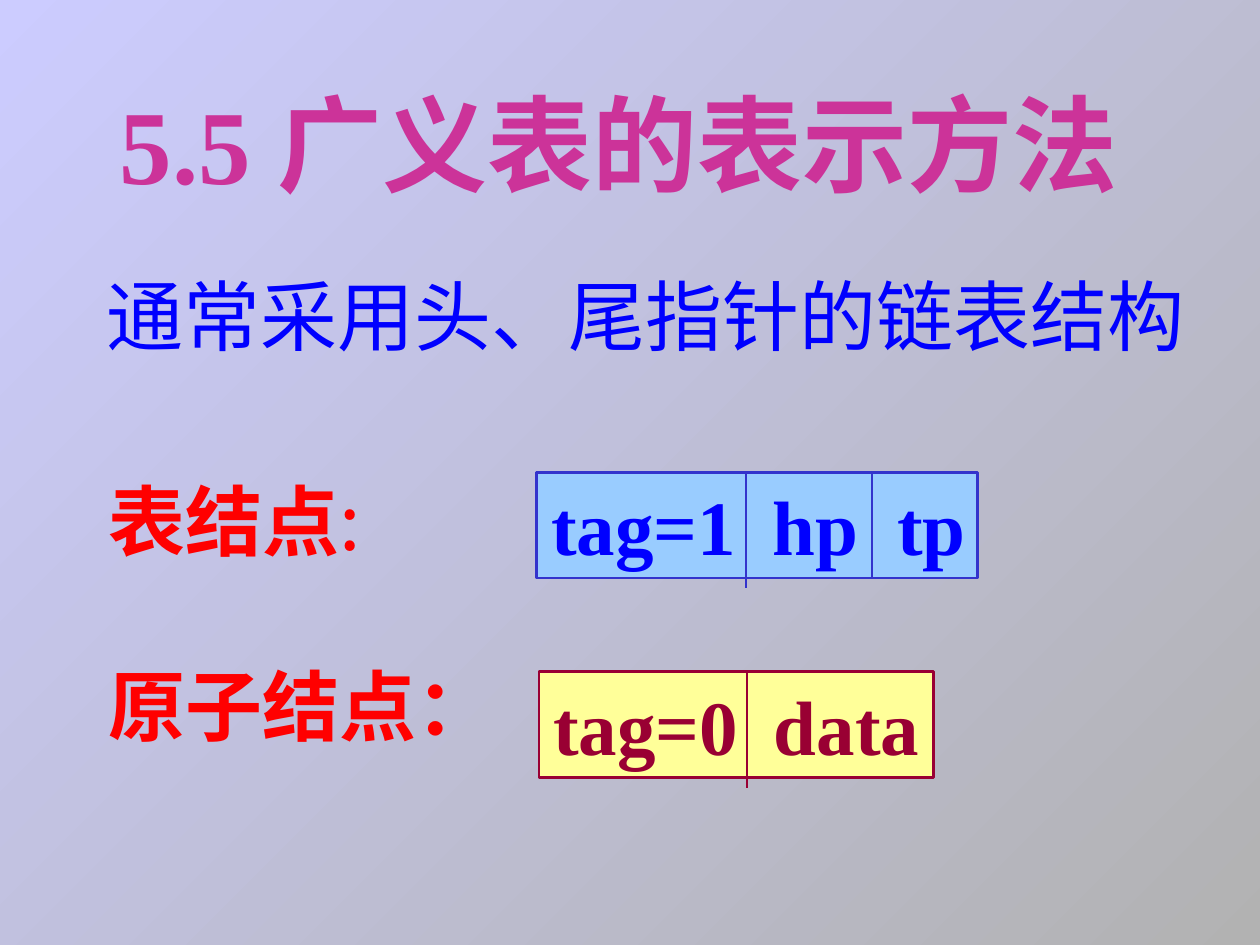
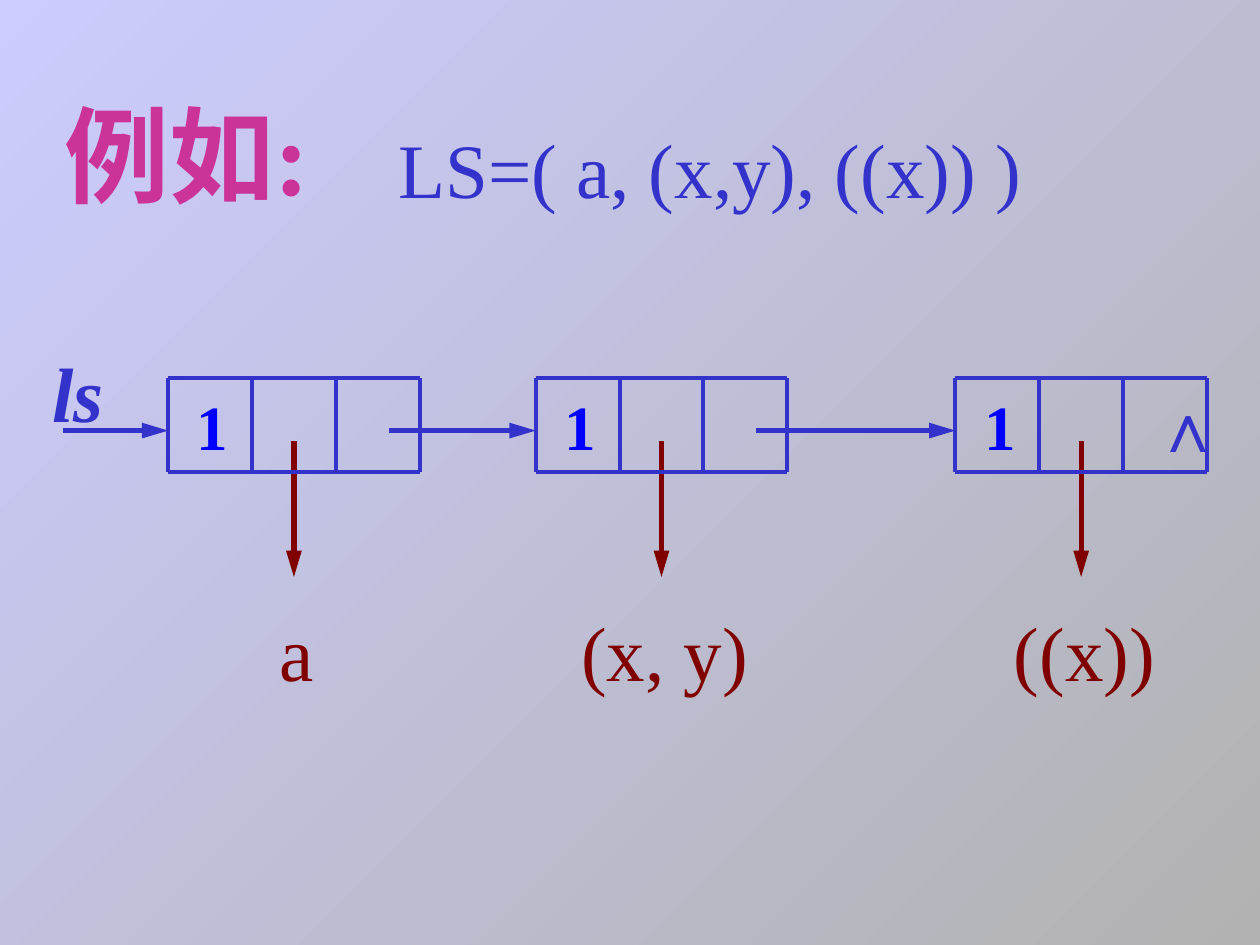
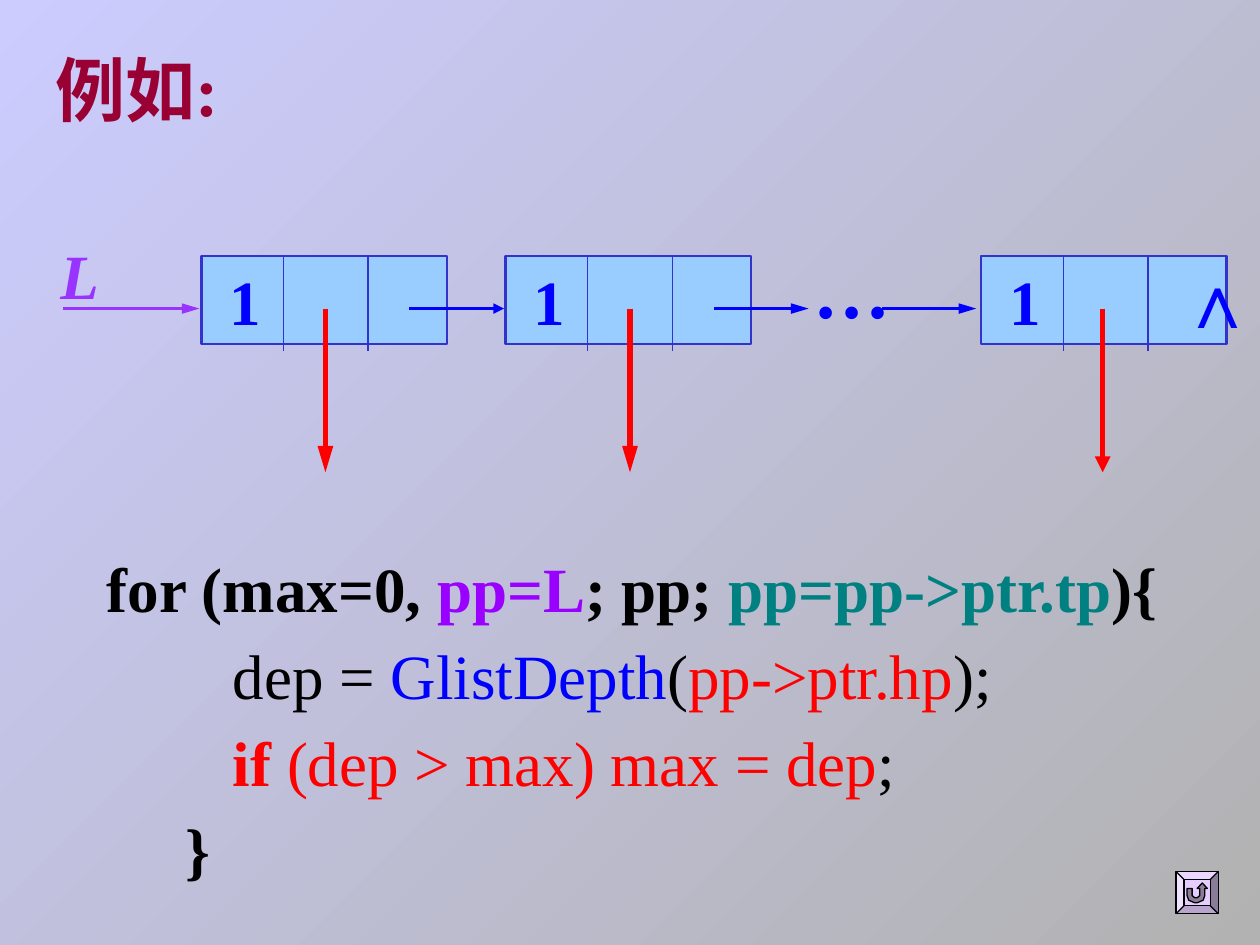
from dataclasses import dataclass

from lxml import etree
from pptx import Presentation
from pptx import util as u
from pptx.dml.color import RGBColor
from pptx.enum import shapes, text
from pptx.oxml import ns


@dataclass(frozen=True)
class Theme:
    """Colours, fonts and type sizes shared by all slides."""
    grey: str = "B2B2B2"
    lavender: str = "CCCCFF"
    magenta: str = "CC3399"
    wine: str = "990033"
    maroon: str = "800000"
    blue: str = "0000FF"
    indigo: str = "3333CC"
    sky: str = "99CCFF"
    yellow: str = "FFFF99"
    red: str = "FF0000"
    purple: str = "9933FF"
    violet: str = "9900FF"
    teal: str = "008080"
    black: str = "000000"
    lilac: str = "E6CDFF"
    plum: str = "8A7B99"
    serif: str = "Times New Roman"
    sans: str = "Arial"
    chinese: str = "Noto Sans CJK SC"
    heading: int = 60
    large: int = 44
    medium: int = 40
    code: int = 36


THEME = Theme()


@dataclass(frozen=True)
class Type:
    """One type style."""
    size: int
    color: str
    bold: bool = False
    italic: bool = False
    face: str = THEME.serif


@dataclass(frozen=True)
class NodeStyle:
    """Look of a list node: outline, divider weight, fill and lettering."""
    line: str
    width: float
    divider: float
    lettering: Type
    fill: str = None


def cm(*values):
    """Turn centimetres into lengths."""
    return [u.Cm(value) for value in values]


def style_font(font, style, color=None, bold=None):
    """Apply a type style, with optional changes, to a font."""
    font.size = u.Pt(style.size)
    font.bold = style.bold if bold is None else bold
    font.italic = style.italic
    font.color.rgb = RGBColor.from_string(color or style.color)
    font.name = style.face


def write(paragraph, runs, style):
    """Write (text, colour, bold) runs into a paragraph of one base style."""
    properties = paragraph._p.get_or_add_pPr()
    properties.set("marL", "0")
    properties.set("indent", "0")
    etree.SubElement(properties, ns.qn("a:buNone"))
    paragraph.space_before = u.Pt(0)
    style_font(paragraph.font, style)
    for words, color, bold in runs:
        run = paragraph.add_run()
        run.text = words
        style_font(run.font, style, color, bold)
        east_asian = etree.SubElement(run._r.get_or_add_rPr(), ns.qn("a:ea"))
        east_asian.set("typeface", THEME.chinese)


def fill_text(shape, box, lines, style, centred=False):
    """Place a text shape and write its lines; return the paragraphs."""
    shape.left, shape.top, shape.width, shape.height = cm(*box)
    frame = shape.text_frame
    frame.word_wrap = centred
    frame.auto_size = (text.MSO_AUTO_SIZE.NONE if centred
                       else text.MSO_AUTO_SIZE.SHAPE_TO_FIT_TEXT)
    frame.vertical_anchor = (text.MSO_ANCHOR.MIDDLE if centred
                             else text.MSO_ANCHOR.TOP)
    if centred:
        frame.margin_left = frame.margin_right = 0
    for index, runs in enumerate(lines):
        paragraph = frame.add_paragraph() if index else frame.paragraphs[0]
        write(paragraph, runs, style)
        paragraph.alignment = (text.PP_ALIGN.CENTER if centred
                               else text.PP_ALIGN.LEFT)
    return frame.paragraphs


def add_label(slide, box, words, style, centred=False):
    """Add one line of text in a text box."""
    label = slide.shapes.add_textbox(*cm(*box))
    fill_text(label, box, [[(words, None, None)]], style, centred)


def add_title(slide, box, words, style):
    """Fill the title placeholder."""
    fill_text(slide.shapes.title, box, [[(words, None, None)]], style)


def add_line(slide, start, end, color, width, head=None):
    """Draw a straight line, with an arrowhead of length "med" or "lg"."""
    line = slide.shapes.add_connector(
        shapes.MSO_CONNECTOR.STRAIGHT, *cm(*start, *end))
    line.line.color.rgb = RGBColor.from_string(color)
    line.line.width = u.Pt(width)
    if head:
        tail_end = etree.SubElement(line.line._get_or_add_ln(),
                                    ns.qn("a:tailEnd"))
        tail_end.set("type", "triangle")
        tail_end.set("len", head)
    etree.SubElement(line._element.spPr, ns.qn("a:effectLst"))


def paint(shape, fill, color, width):
    """Give a shape a flat fill and an outline."""
    shape.shadow.inherit = False
    shape.fill.solid()
    shape.fill.fore_color.rgb = RGBColor.from_string(fill)
    shape.line.color.rgb = RGBColor.from_string(color)
    shape.line.width = u.Pt(width)


def add_node(slide, box, fields, style, overhangs):
    """Draw a node of (text, width) fields; dividers may pass its bottom."""
    left, top, width, height = box
    right, bottom = left + width, top + height
    if style.fill:
        body = slide.shapes.add_shape(shapes.MSO_SHAPE.RECTANGLE, *cm(*box))
        paint(body, style.fill, style.line, style.width)
    else:
        for y in (top, bottom):
            add_line(slide, (left, y), (right, y), style.line, style.width)
        for x in (left, right):
            add_line(slide, (x, top), (x, bottom), style.line, style.width)
    x = left
    for index, (words, field_width) in enumerate(fields):
        if index:
            add_line(slide, (x, top), (x, bottom + overhangs[index - 1]),
                     style.line, style.divider)
        if words:
            shift = 0.13 if index else 0.05
            add_label(slide, (x + shift, top, field_width, height), words,
                      style.lettering, centred=True)
        x += field_width


def add_chain(slide, box, lefts, widths, style, overhang):
    """Draw tag-1 nodes in a row at the given left edges."""
    top, height = box
    for left in lefts:
        add_node(slide, (left, top, sum(widths), height),
                 list(zip(("1", "", ""), widths)), style,
                 (overhang, overhang))


def add_pointers(slide, top, bottom, pointers, color):
    """Draw downward arrows at (x, head) places."""
    for x, head in pointers:
        add_line(slide, (x, top), (x, bottom), color, 3, head)


def add_links(slide, y, links, color, width):
    """Draw horizontal arrows over (start, end, head) spans."""
    for start, end, head in links:
        add_line(slide, (start, y), (end, y), color, width, head)


def node_types_slide(presentation):
    """Introduce the two kinds of node."""
    slide = presentation.slides.add_slide(presentation.slide_layouts[1])
    add_title(slide, (2.16, 1.47, 21.64, 2.79), "5.5 广义表的表示方法",
              Type(THEME.heading, THEME.magenta, True))
    add_label(slide, (1.9, 5.28, 22.25, 2.13), "通常采用头、尾指针的链表结构",
              Type(THEME.large, THEME.blue, face=THEME.chinese))
    names = [[("表结点", None, None), (":", None, False)],
             [("原子结点：", None, None)]]
    paragraphs = fill_text(
        slide.placeholders[1], (1.93, 9.42, 8.28, 5.84), names,
        Type(THEME.large, THEME.red, True, face=THEME.chinese))
    for paragraph in paragraphs:
        paragraph.line_spacing = u.Pt(52.8)
    paragraphs[1].space_before = u.Pt(52.8)

    atom = NodeStyle(THEME.wine, 1.5, 0.74,
                     Type(THEME.large, THEME.wine, True), THEME.yellow)
    add_node(slide, (10.87, 13.54, 7.95, 2.13),
             [("tag=0", 4.19), ("data", 3.76)], atom, (0.21,))
    sublist = NodeStyle(THEME.indigo, 1.5, 0.74,
                        Type(THEME.large, THEME.blue, True), THEME.sky)
    add_node(slide, (10.82, 9.52, 8.89, 2.13),
             [("tag=1", 4.22), ("hp", 2.54), ("tp", 2.13)],
             sublist, (0.21, 0))


def example_slide(presentation):
    """Show the chain of nodes of a sample list."""
    slide = presentation.slides.add_slide(presentation.slide_layouts[5])
    add_title(slide, (1.04, 1.7, 5.94, 2.79), "例如:",
              Type(THEME.heading, THEME.magenta, True))
    add_label(slide, (7.78, 2.33, 13.08, 2.13), "LS=( a, (x,y), ((x)) )",
              Type(THEME.large, THEME.indigo))

    lefts, cell = (3.39, 10.8, 19.26), 1.69
    style = NodeStyle(THEME.indigo, 2.24, 2.24,
                      Type(THEME.code, THEME.blue, True))
    add_pointers(slide, 8.89, 11.63,
                 [(left + 1.5 * cell, "lg") for left in lefts], THEME.maroon)
    add_chain(slide, (7.62, 1.9), lefts, (cell,) * 3, style, 0)
    starts = (1.27, *(left + 4.45 for left in lefts[:-1]))
    add_links(slide, 8.68, [(start, end, "lg")
                            for start, end in zip(starts, lefts)],
              THEME.indigo, 3)
    for left, words in zip(lefts, ("a", "(x, y)", "((x))")):
        add_label(slide, (left + 0.6, 12.06, 4, 2.13), words,
                  Type(THEME.large, THEME.maroon), centred=True)
    add_label(slide, (23.01, 7.59, 0.97, 1.96), "∧",
              Type(THEME.medium, THEME.indigo, face=THEME.sans))
    add_label(slide, (0.81, 6.85, 1.55, 2.13), "ls",
              Type(THEME.large, THEME.indigo, True, True))


def add_code(slide, box):
    """Write the depth loop in the body placeholder."""
    lines = [
        [("for (max=0, ", None, True), ("pp=L", THEME.violet, True),
         ("; pp; ", None, True), ("pp=pp->ptr.tp", THEME.teal, True),
         ("){", None, True)],
        [("dep = ", None, None), ("GlistDepth", THEME.blue, None),
         ("(", None, None), ("pp->ptr.hp", THEME.red, None),
         (");", None, None)],
        [("if ", THEME.red, True), ("(dep > max) max = dep", THEME.red, None),
         (";", None, None)],
        [("}", None, True)],
    ]
    paragraphs = fill_text(slide.placeholders[1], box, lines,
                           Type(THEME.code, THEME.black))
    for paragraph, indent in zip(paragraphs, (0, 2.54, 2.54, 1.59)):
        paragraph.line_spacing = u.Pt(49.7)
        paragraph._p.get_or_add_pPr().set("marL", str(u.Cm(indent)))


def add_return_button(slide, box):
    """Draw a bevelled button with a U-turn arrow in it."""
    left, top, width, height = box
    button = slide.shapes.add_shape(shapes.MSO_SHAPE.BEVEL, *cm(*box))
    button.adjustments[0] = 0.19
    paint(button, THEME.lilac, THEME.black, 0.74)
    outline = [(0.26, 0.4), (0.38, 0.4), (0.38, 0.57), (0.44, 0.62),
               (0.5, 0.62), (0.56, 0.57), (0.56, 0.4), (0.5, 0.4),
               (0.62, 0.27), (0.74, 0.4), (0.68, 0.4), (0.68, 0.57),
               (0.64, 0.68), (0.5, 0.74), (0.44, 0.74), (0.3, 0.68),
               (0.26, 0.57)]
    points = [tuple(cm(left + x * width, top + y * height))
              for x, y in outline]
    builder = slide.shapes.build_freeform(*points[0])
    builder.add_line_segments(points[1:], close=True)
    paint(builder.convert_to_shape(), THEME.plum, THEME.black, 0.74)


def depth_slide(presentation):
    """Show the loop that walks a chain to find its depth."""
    slide = presentation.slides.add_slide(presentation.slide_layouts[1])
    add_title(slide, (0.86, 0.81, 4.14, 1.96), "例如:",
              Type(THEME.medium, THEME.wine, True))
    add_code(slide, (1.9, 10.72, 21.82, 7.26))

    style = NodeStyle(THEME.indigo, 1.5, 0.74,
                      Type(THEME.code, THEME.blue, True), THEME.sky)
    add_chain(slide, (5.16, 1.78), (4.06, 10.19, 19.78), (1.66, 1.7, 1.59),
              style, 0.13)
    add_pointers(slide, 6.22, 9.52,
                 [(6.56, "lg"), (12.7, "lg"), (22.23, "med")], THEME.red)
    add_links(slide, 6.22, [(1.27, 4.02, "lg")], THEME.purple, 2)
    add_links(slide, 6.22, [(8.25, 10.16, "med"), (14.4, 16.3, "lg"),
                            (17.78, 19.68, "lg")], THEME.blue, 2)
    add_label(slide, (0.97, 4.65, 1.27, 1.78), "L",
              Type(THEME.code, THEME.purple, True, True))
    add_label(slide, (16.15, 4.75, 2.06, 2.13), "…",
              Type(THEME.large, THEME.blue, True))
    add_label(slide, (23.52, 4.95, 1.02, 2.13), "∧",
              Type(THEME.large, THEME.blue, True, face=THEME.sans))
    add_return_button(slide, (23.71, 17.57, 0.85, 0.85))


def set_background(master):
    """Give every slide the diagonal gradient, through the master."""
    fill = master.background.fill
    fill.gradient()
    fill.gradient_angle = 135
    for stop, color in zip(fill.gradient_stops, (THEME.grey, THEME.lavender)):
        stop.color.rgb = RGBColor.from_string(color)


presentation = Presentation()
presentation.slide_width, presentation.slide_height = cm(25.4, 19.05)
set_background(presentation.slide_master)
node_types_slide(presentation)
example_slide(presentation)
depth_slide(presentation)
presentation.save("out.pptx")
